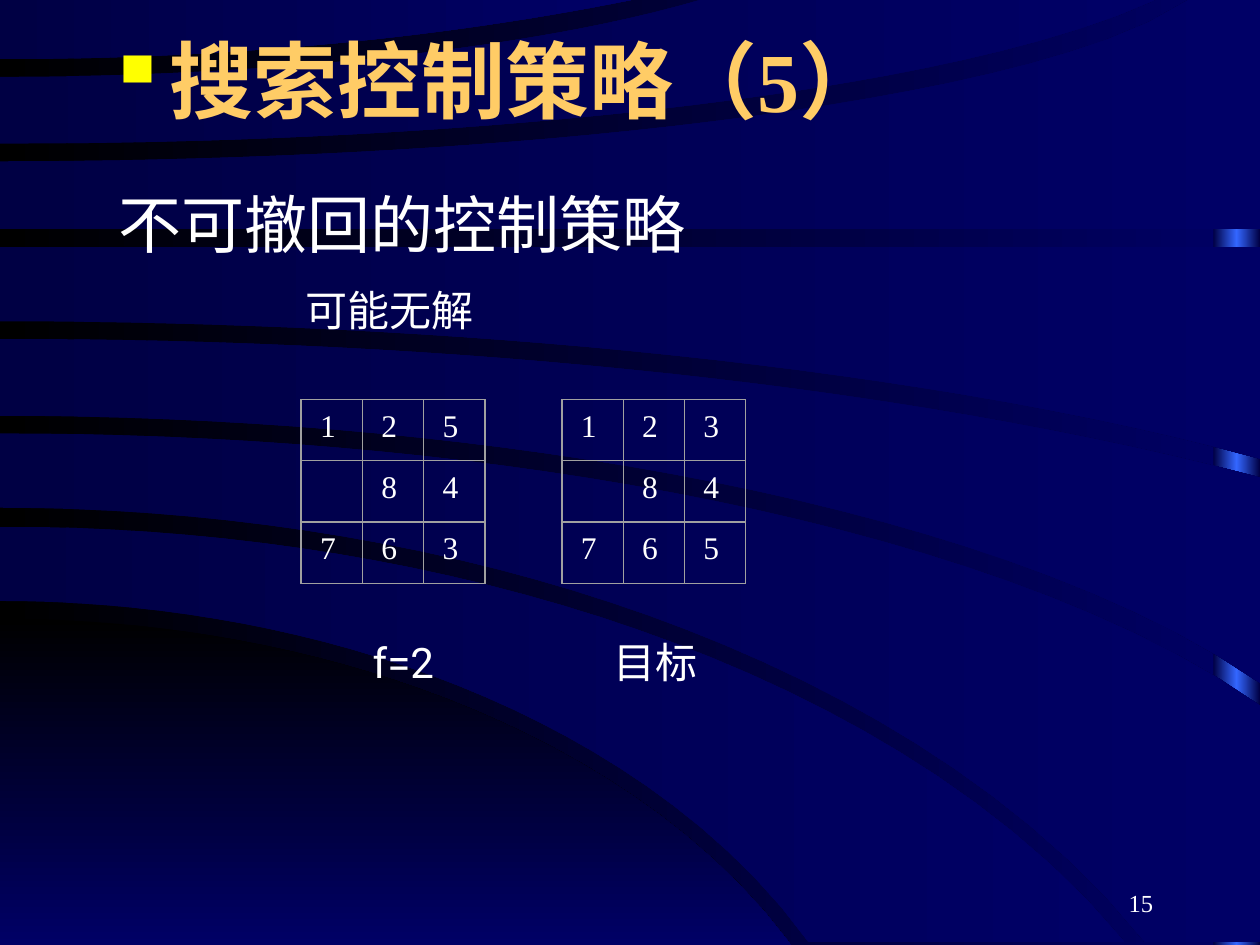
from copy import deepcopy
from math import sqrt

from lxml import etree
from pptx import Presentation
from pptx.dml.color import RGBColor
from pptx.enum.shapes import MSO_SHAPE
from pptx.enum.text import MSO_ANCHOR, PP_ALIGN
from pptx.oxml.ns import qn
from pptx.util import Inches, Pt

RECT = MSO_SHAPE.RECTANGLE
TOP, MIDDLE, BOTTOM = MSO_ANCHOR.TOP, MSO_ANCHOR.MIDDLE, MSO_ANCHOR.BOTTOM
LEFT, RIGHT, JUSTIFY = PP_ALIGN.LEFT, PP_ALIGN.RIGHT, PP_ALIGN.JUSTIFY
SERIF, SANS = "Times New Roman", "Roboto"
BLACK, NAVY, BLUE, BRIGHT = "000000", "000044", "000066", "3366FF"
WHITE, GOLD, YELLOW, GREY = "FFFFFF", "FFCC66", "FFFF00", "A0A0A0"

# Content: text, box (left, top, width, height), size, font, colour, align, anchor
TITLE = ("搜索控制策略（5）", (0.75, 0, 8.5, 1.25), 48, SERIF, GOLD, LEFT, MIDDLE)
TEXTS = [
    ("不可撤回的控制策略", (0.84, 1.42, 8.89, 5.01), 36, SERIF, WHITE, LEFT, TOP),
    ("可能无解", (2.33, 2.21, 4.39, 0.5), 24, SANS, WHITE, LEFT, TOP),
    ("f=2", (2.86, 5, 0.81, 0.5), 24, SANS, WHITE, LEFT, TOP),
    ("目标", (4.77, 5, 1.1, 0.5), 24, SANS, WHITE, LEFT, TOP),
    ("15", (7.17, 6.83, 2.08, 0.5), 14, SERIF, WHITE, RIGHT, BOTTOM),
]
# Eight-puzzle boards: left edge and rows
BOARDS = [
    (2.39, ["125", " 84", "763"]),
    (4.46, ["123", " 84", "765"]),
]
BOARD_TOP, BOARD_SIZE = 3.17, 1.46

# Upper and lower edges, each an elliptic arc from the left side of the slide:
# start y, end x, end y, share of the ellipse's half-width that the arc spans
HILL = ((4.91, 6.28, 7.5, 0.9), (7.5, 6.28, 7.5, 0.9))
BANDS = [
    ((4.18, 8.93, 7.48, 0.9), (4.77, 6.42, 7.48, 0.9)),
    ((3.44, 10, 5.6, 0.9), (4.03, 9.09, 7.48, 0.9)),
    ((2.69, 10, 3.79, 0.7), (3.3, 10, 5.42, 0.9)),
    ((1.96, 10, 1.96, 0.9), (2.55, 10, 3.64, 0.75)),
    ((1.28, 9.43, 0, 0.97), (1.82, 10, 1.82, 0.9)),
    ((0.61, 5.56, 0, 0.8), (1.14, 9.17, 0, 0.93)),
    ((0, 5.01, 0, 0.9), (0.47, 5.01, 0, 0.5)),
]
STEPS = 30


def rgb(value):
    return RGBColor.from_string(value)


def inches(values):
    return [Inches(v) for v in values]


def set_gradient(fill, start, end, angle=0):
    fill.gradient()
    fill.gradient_angle = angle
    for stop, colour, position in zip(fill.gradient_stops, (start, end), (0, 1)):
        stop.color.rgb = rgb(colour)
        stop.position = position


def arc(start_y, end_x, end_y, share):
    def drop(t):
        return 1 - sqrt(1 - (share * t) ** 2)

    steps = [i / STEPS for i in range(STEPS + 1)]
    return [(end_x * t, start_y + (end_y - start_y) * drop(t) / drop(1)) for t in steps]


def add_band(edges, start, end, angle=0):
    upper, lower = [arc(*edge) for edge in edges]
    (x1, y1), (x2, y2) = upper[-1], lower[-1]
    # The shorter edge runs on flat to the slide's right side
    corner = (max(x1, x2), y1 if x1 < x2 else y2)
    first, *rest = [inches(pt) for pt in upper + [corner] + lower[::-1]]
    builder = s.shapes.build_freeform(*first)
    builder.add_line_segments(rest, close=True)
    sp = builder.convert_to_shape()
    sp.shadow.inherit = False
    sp.line.fill.background()
    set_gradient(sp.fill, start, end, angle)


def add_rect(box, line_width):
    sp = s.shapes.add_shape(RECT, *inches(box))
    sp.shadow.inherit = False
    sp.fill.background()
    sp.line.color.rgb = rgb(GREY)
    sp.line.width = Pt(line_width)
    return sp


def write(sp, text, size, font, colour, align, anchor):
    tf = sp.text_frame
    tf.word_wrap = True
    tf.vertical_anchor = anchor
    p = tf.paragraphs[0]
    p.alignment = align
    r = p.add_run()
    r.text = text
    r.font.size, r.font.name = Pt(size), font
    r.font.color.rgb = rgb(colour)
    return p, r


def add_text(text, box, *style):
    return write(s.shapes.add_textbox(*inches(box)), text, *style)


prs = Presentation()
prs.slide_width, prs.slide_height = Inches(10), Inches(7.5)
s = prs.slides.add_slide(prs.slide_layouts[6])
set_gradient(s.background.fill, BLACK, BLUE)

# Strip at the right edge, with a bright middle stop
strip = s.shapes.add_shape(RECT, *inches((9.63, 0, 0.37, 7.5)))
strip.shadow.inherit = False
strip.line.fill.background()
set_gradient(strip.fill, NAVY, NAVY)
first_stop = strip._element.find(".//" + qn("a:gs"))
first_stop.addnext(deepcopy(first_stop))
middle_stop = strip.fill.gradient_stops[1]
middle_stop.position = 0.5
middle_stop.color.rgb = rgb(BRIGHT)

# Hill and bands
add_band(HILL, BLACK, BLUE, 270)
for band in BANDS:
    add_band(band, NAVY, BLUE)

# Title with a square bullet
p, r = add_text(*TITLE)
r.font.bold = True
pPr = p._p.get_or_add_pPr()
bullet_colour = etree.SubElement(pPr, qn("a:buClr"))
etree.SubElement(bullet_colour, qn("a:srgbClr"), val=YELLOW)
etree.SubElement(pPr, qn("a:buChar"), char="▪")

for item in TEXTS:
    add_text(*item)

# Boards: nine cells and a frame each
cell = BOARD_SIZE / 3
for left, rows in BOARDS:
    for i, row in enumerate(rows):
        for j, digit in enumerate(row):
            sp = add_rect((left + j * cell, BOARD_TOP + i * cell, cell, cell), 0)
            if digit != " ":
                sp.text_frame.margin_left = Inches(0.15)
                write(sp, digit, 18, SERIF, WHITE, JUSTIFY, TOP)
    add_rect((left, BOARD_TOP, BOARD_SIZE, BOARD_SIZE), 0.75)

prs.save("out.pptx")
